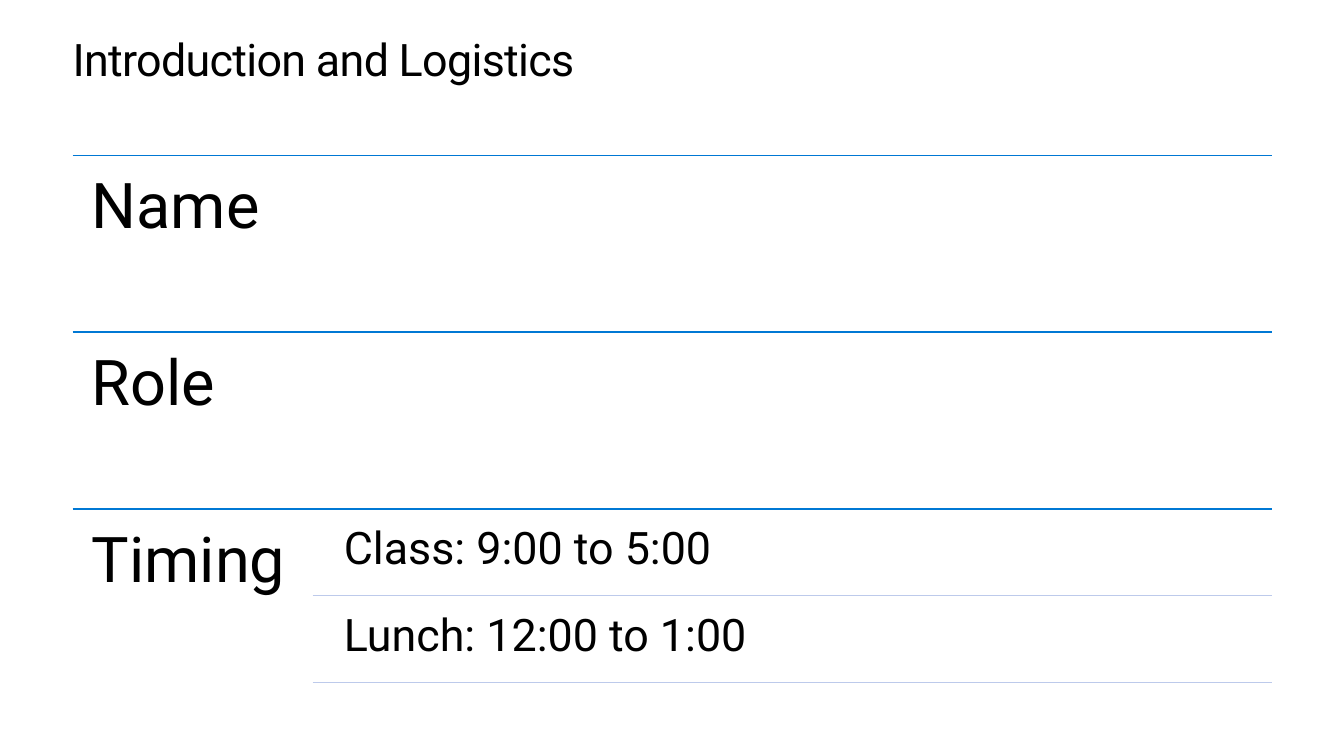
"""Builds the introduction and logistics slide: ruled sections with detail rows."""
import pptx
import pptx.dml.color
import pptx.enum.shapes
import pptx.enum.text
import pptx.util
from lxml import etree

Inches, Pt = pptx.util.Inches, pptx.util.Pt
RGB = pptx.dml.color.RGBColor.from_string

TITLE = "Introduction and Logistics"
SECTIONS = [
    ("Name", []),
    ("Role", []),
    ("Timing", ["Class: 9:00 to 5:00", "Lunch: 12:00 to 1:00"]),
]
THEME = {
    "font": "Roboto", "text": "000000", "background": "FFFFFF",
    "section_line": "0078D4", "detail_line": "BDCAEB",
    "title_size": 32, "section_size": 45, "detail_size": 32, "line_width": 1,
}
LEFT, RIGHT, TOP = 0.72, 12.62, 1.54
SECTION_W, SECTION_H = 2.38, 1.755
DETAIL_INDENT, DETAIL_H, DETAIL_GAP = 0.18, 0.82, 0.04


def format_text(tf, text, size, inset):
    tf.word_wrap = True
    tf.auto_size = pptx.enum.text.MSO_AUTO_SIZE.NONE
    tf.vertical_anchor = pptx.enum.text.MSO_ANCHOR.TOP
    tf.margin_left = tf.margin_right = tf.margin_top = tf.margin_bottom = Inches(inset)
    p = tf.paragraphs[0]
    p.text = text
    p.alignment = pptx.enum.text.PP_ALIGN.LEFT
    p.line_spacing = 0.9
    p.space_before = Pt(0)
    p.font.name = THEME["font"]
    p.font.size = Pt(size)
    p.font.color.rgb = RGB(THEME["text"])
    return p


def add_title(s):
    sp = s.shapes.title
    sp.left, sp.top = Inches(LEFT), Inches(0.35)
    sp.width, sp.height = Inches(RIGHT - LEFT), Inches(0.5)
    sp.fill.solid()
    sp.fill.fore_color.rgb = RGB(THEME["background"])
    p = format_text(sp.text_frame, TITLE, THEME["title_size"], 0)
    p.line_spacing = Pt(36.2)
    p.runs[0].font._element.set("spc", "-50")


def add_label(s, text, x, y, w, h, size, inset):
    box = s.shapes.add_textbox(Inches(x), Inches(y), Inches(w), Inches(h))
    format_text(box.text_frame, text, size, inset)


def add_rule(s, x, y, color):
    line = s.shapes.add_connector(
        pptx.enum.shapes.MSO_CONNECTOR.STRAIGHT,
        Inches(x), Inches(y), Inches(RIGHT), Inches(y))
    line.line.color.rgb = RGB(color)
    line.line.width = Pt(THEME["line_width"])
    etree.SubElement(line._element.spPr, pptx.oxml.ns.qn("a:effectLst"))


def add_sections(s):
    detail_left = LEFT + SECTION_W
    text_left = detail_left + DETAIL_INDENT
    for i, (name, details) in enumerate(SECTIONS):
        y = TOP + i * SECTION_H
        add_rule(s, LEFT, y, THEME["section_line"])
        add_label(s, name, LEFT, y, SECTION_W, SECTION_H, THEME["section_size"], 0.19)
        for j, detail in enumerate(details):
            row_top = y + DETAIL_GAP + j * (DETAIL_H + DETAIL_GAP)
            add_label(s, detail, text_left, row_top, RIGHT - text_left, DETAIL_H,
                      THEME["detail_size"], 0.13)
            add_rule(s, detail_left, row_top + DETAIL_H, THEME["detail_line"])


def main():
    prs = pptx.Presentation()
    prs.slide_width, prs.slide_height = Inches(13.33), Inches(7.5)
    s = prs.slides.add_slide(prs.slide_layouts[5])
    s.background.fill.solid()
    s.background.fill.fore_color.rgb = RGB(THEME["background"])
    add_title(s)
    add_sections(s)
    prs.save("out.pptx")


if __name__ == "__main__":
    main()
